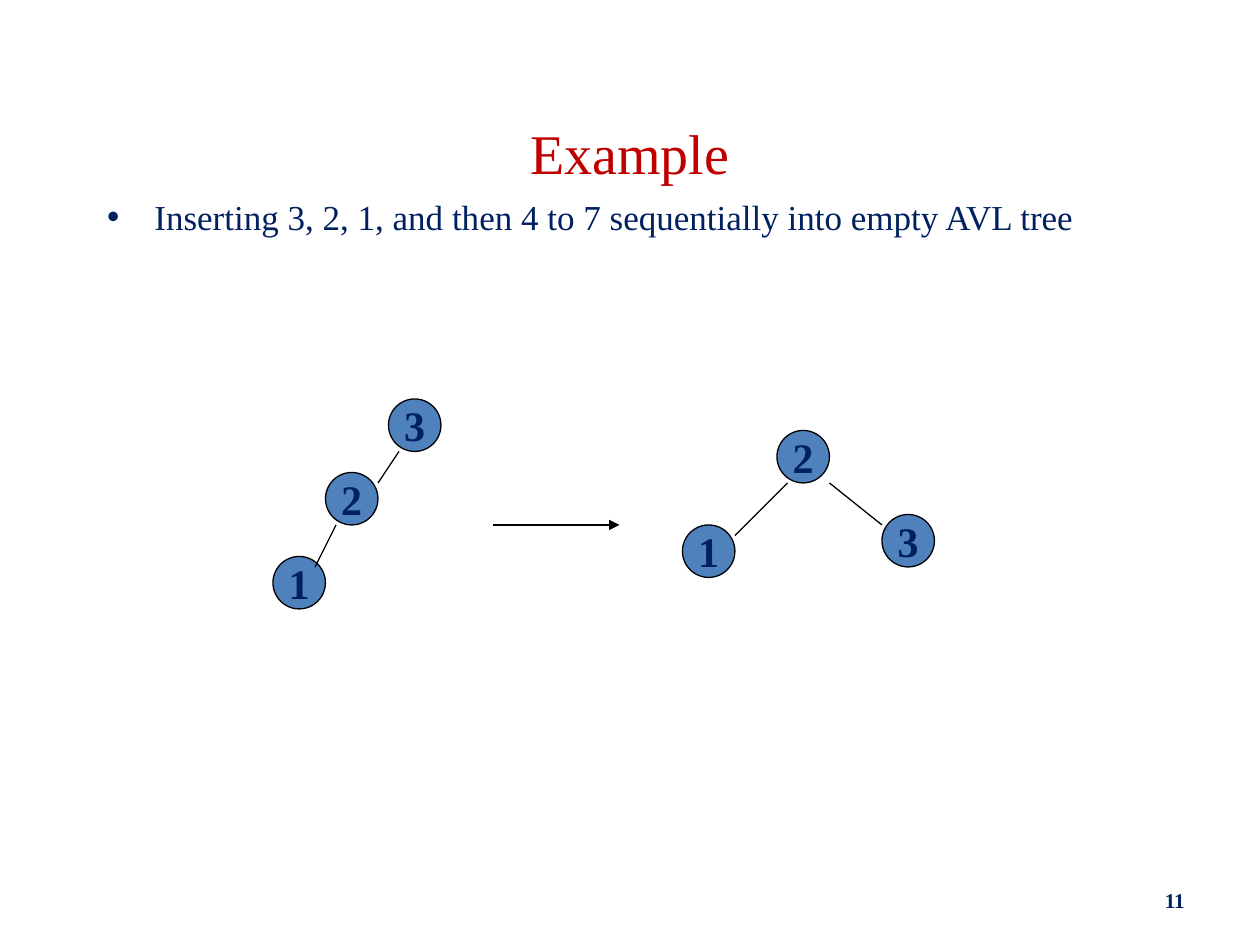
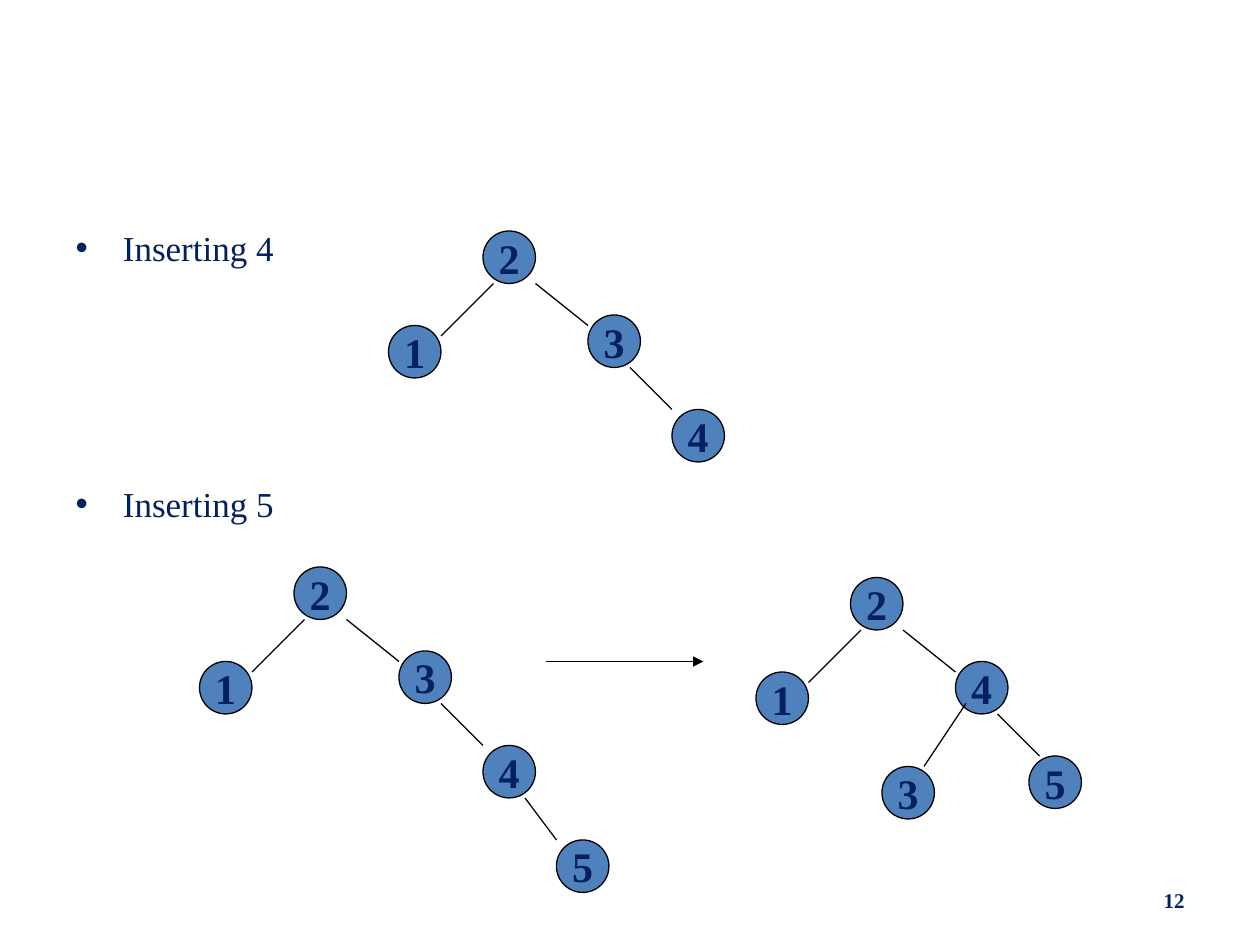
from dataclasses import dataclass

from lxml import etree
from pptx import Presentation
from pptx.dml.color import RGBColor
from pptx.enum.shapes import MSO_CONNECTOR, MSO_SHAPE
from pptx.enum.text import MSO_ANCHOR, MSO_AUTO_SIZE, PP_ALIGN
from pptx.oxml.ns import qn
from pptx.util import Emu, Pt

ELLIPSE = MSO_SHAPE.OVAL
STRAIGHT = MSO_CONNECTOR.STRAIGHT
MIDDLE = MSO_ANCHOR.MIDDLE
NO_FIT = MSO_AUTO_SIZE.NONE
CENTER, RIGHT = PP_ALIGN.CENTER, PP_ALIGN.RIGHT

EMU_PER_PX = 9525
SLIDE_W, SLIDE_H = 960, 720
NODE_SIZE = 40
LINE_PT = 0.75
FONT = "Times New Roman"
RED, NAVY, BLUE, BLACK = "C00000", "002060", "4F81BD", "000000"

TITLE_BOX = (72, 56, 816, 120)
NUMBER_BOX = (688, 667, 224, 38)
BULLET_GAP_PT = 5
SECTION_GAP_PT = 122

Point = tuple[int, int]


@dataclass(frozen=True)
class Branch:
    """Child position and edge ends, all measured from the parent's corner."""
    child: Point
    end: Point
    start: Point = (8, 40)


@dataclass(frozen=True)
class Link:
    parent: str
    key: str
    branch: Branch


@dataclass(frozen=True)
class Tree:
    root: str
    at: Point
    links: list[Link]


@dataclass(frozen=True)
class Arrow:
    start: Point
    length: int


LEFT = Branch((-72, 72), (-32, 80))
RIGHT_SIDE = Branch((80, 64), (80, 72), (40, 40))
RIGHT_LOWER = Branch((64, 72), (64, 72), (32, 40))
RIGHT_STEEP = Branch((56, 72), (56, 72), (32, 40))
RIGHT_LEAF = Branch((56, 72), (64, 72), (32, 40))
LEFT_LEAF = Branch((-56, 80), (-24, 80), (8, 32))
CHAIN_UPPER = Branch((-48, 56), (-8, 64))
CHAIN_LOWER = Branch((-40, 64), (-8, 72))

THREE_NODES = [Link("2", "1", LEFT), Link("2", "3", RIGHT_SIDE)]
FOUR_NODES = THREE_NODES + [Link("3", "4", RIGHT_LOWER)]
FIVE_NODES = FOUR_NODES + [Link("4", "5", RIGHT_STEEP)]
LEFT_CHAIN = [Link("3", "2", CHAIN_UPPER), Link("2", "1", CHAIN_LOWER)]
FIVE_BALANCED = [
    Link("2", "1", LEFT),
    Link("2", "4", RIGHT_SIDE),
    Link("4", "3", LEFT_LEAF),
    Link("4", "5", RIGHT_LEAF),
]


def px(n: int) -> Emu:
    return Emu(n * EMU_PER_PX)


def rgb(color: str) -> RGBColor:
    return RGBColor.from_string(color)


def offset(origin: Point, delta: Point) -> Point:
    return origin[0] + delta[0], origin[1] + delta[1]


def place(sp, box: tuple[int, int, int, int]) -> None:
    sp.left, sp.top, sp.width, sp.height = map(px, box)


def style(p, size: int, color: str = NAVY, bold: bool = False, align=None) -> None:
    p.font.name = FONT
    p.font.size = Pt(size)
    p.font.bold = bold
    p.font.color.rgb = rgb(color)
    p.alignment = align


def add_line(s, start: Point, end: Point, arrow: bool = False) -> None:
    line = s.shapes.add_connector(STRAIGHT, *map(px, start + end))
    line.line.color.rgb = rgb(BLACK)
    line.line.width = Pt(LINE_PT)
    if arrow:
        tail = etree.SubElement(line.line._get_or_add_ln(), qn("a:tailEnd"))
        tail.set("type", "triangle")
    etree.SubElement(line._element.spPr, qn("a:effectLst"))


def add_node(s, key: str, at: Point) -> None:
    sp = s.shapes.add_shape(ELLIPSE, *map(px, at + (NODE_SIZE, NODE_SIZE)))
    sp.shadow.inherit = False
    sp.fill.solid()
    sp.fill.fore_color.rgb = rgb(BLUE)
    sp.line.color.rgb = rgb(BLACK)
    sp.line.width = Pt(LINE_PT)
    tf = sp.text_frame
    tf.text = key
    tf.word_wrap = False
    tf.vertical_anchor = MIDDLE
    style(tf.paragraphs[0], 24, bold=True, align=CENTER)


def add_tree(s, tree: Tree) -> None:
    spots = {tree.root: tree.at}
    for link in tree.links:
        spots[link.key] = offset(spots[link.parent], link.branch.child)
    for key, at in spots.items():
        add_node(s, key, at)
    for link in tree.links:
        parent = spots[link.parent]
        add_line(s, offset(parent, link.branch.start), offset(parent, link.branch.end))


def add_title(s, text: str) -> None:
    title = s.shapes.title
    if not text:
        title._element.getparent().remove(title._element)
        return
    place(title, TITLE_BOX)
    tf = title.text_frame
    tf.text = text
    tf.auto_size = NO_FIT
    tf.vertical_anchor = MIDDLE
    style(tf.paragraphs[0], 32, RED, align=CENTER)


def add_bullets(s, box: tuple[int, int, int, int], bullets: list[str]) -> None:
    body = s.placeholders[1]
    place(body, box)
    tf = body.text_frame
    tf.text = "\n".join(bullets)
    tf.auto_size = NO_FIT
    for i, p in enumerate(tf.paragraphs):
        style(p, 20)
        p.space_before = Pt(SECTION_GAP_PT if i else BULLET_GAP_PT)


def add_number(s, number: int) -> None:
    tf = s.shapes.add_textbox(*map(px, NUMBER_BOX)).text_frame
    tf.text = str(number)
    tf.word_wrap = True
    tf.vertical_anchor = MIDDLE
    style(tf.paragraphs[0], 12, bold=True, align=RIGHT)


def add_slide(prs, number: int, title: str, box: tuple[int, int, int, int],
              bullets: list[str], trees: list[Tree], arrow: Arrow) -> None:
    s = prs.slides.add_slide(prs.slide_layouts[1])
    add_title(s, title)
    add_bullets(s, box, bullets)
    add_number(s, number)
    for tree in trees:
        add_tree(s, tree)
    add_line(s, arrow.start, offset(arrow.start, (arrow.length, 0)), arrow=True)


def main() -> None:
    prs = Presentation()
    prs.slide_width, prs.slide_height = px(SLIDE_W), px(SLIDE_H)
    add_slide(
        prs, 11, "Example", (72, 144, 816, 104),
        ["Inserting 3, 2, 1, and then 4 to 7 sequentially into empty AVL tree"],
        [Tree("3", (296, 304), LEFT_CHAIN), Tree("2", (592, 328), THREE_NODES)],
        Arrow((376, 400), 96),
    )
    add_slide(
        prs, 12, "", (48, 168, 864, 475),
        ["Inserting 4", "Inserting 5"],
        [
            Tree("2", (368, 176), FOUR_NODES),
            Tree("2", (224, 432), FIVE_NODES),
            Tree("2", (648, 440), FIVE_BALANCED),
        ],
        Arrow((416, 504), 120),
    )
    prs.save("out.pptx")


if __name__ == "__main__":
    main()
